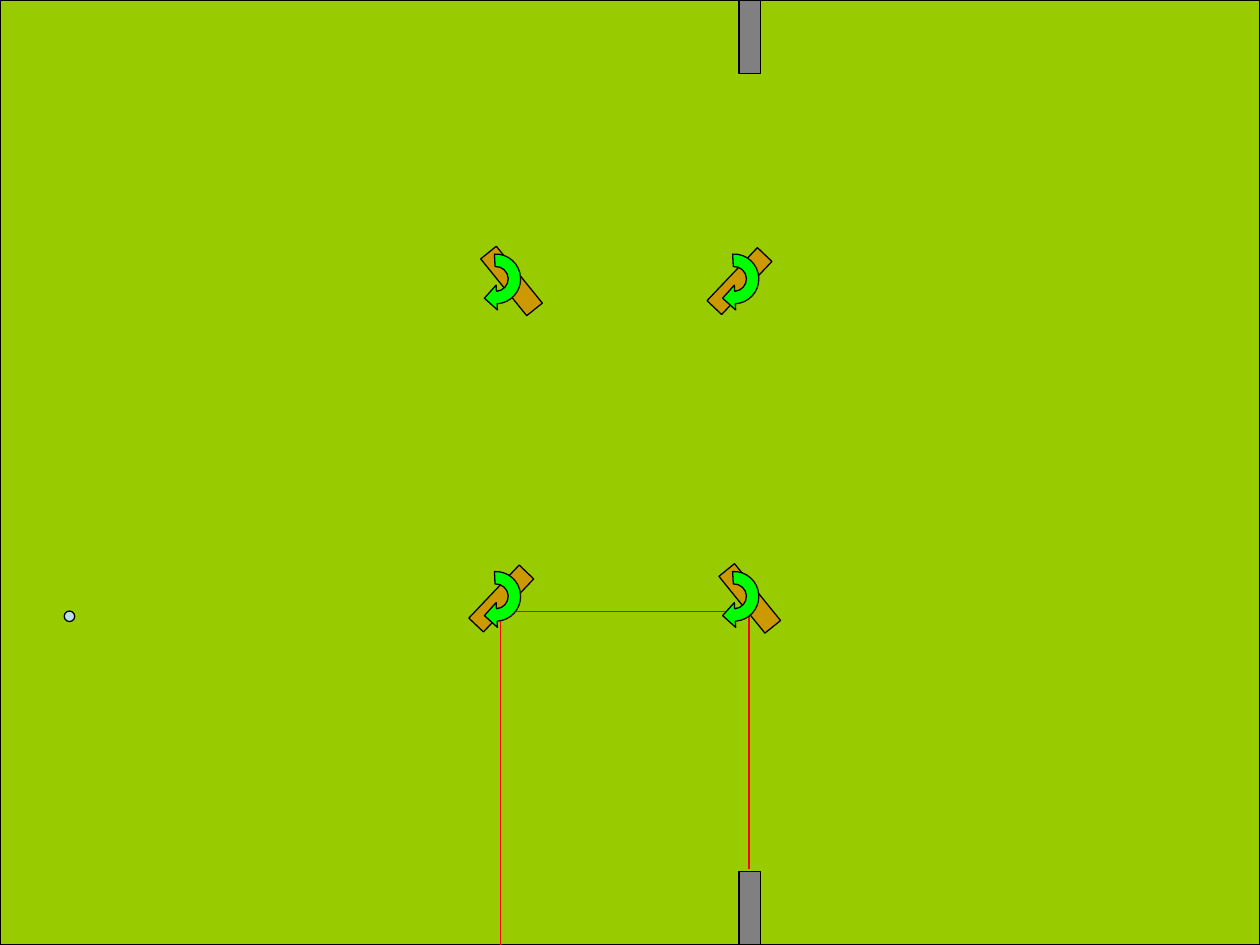
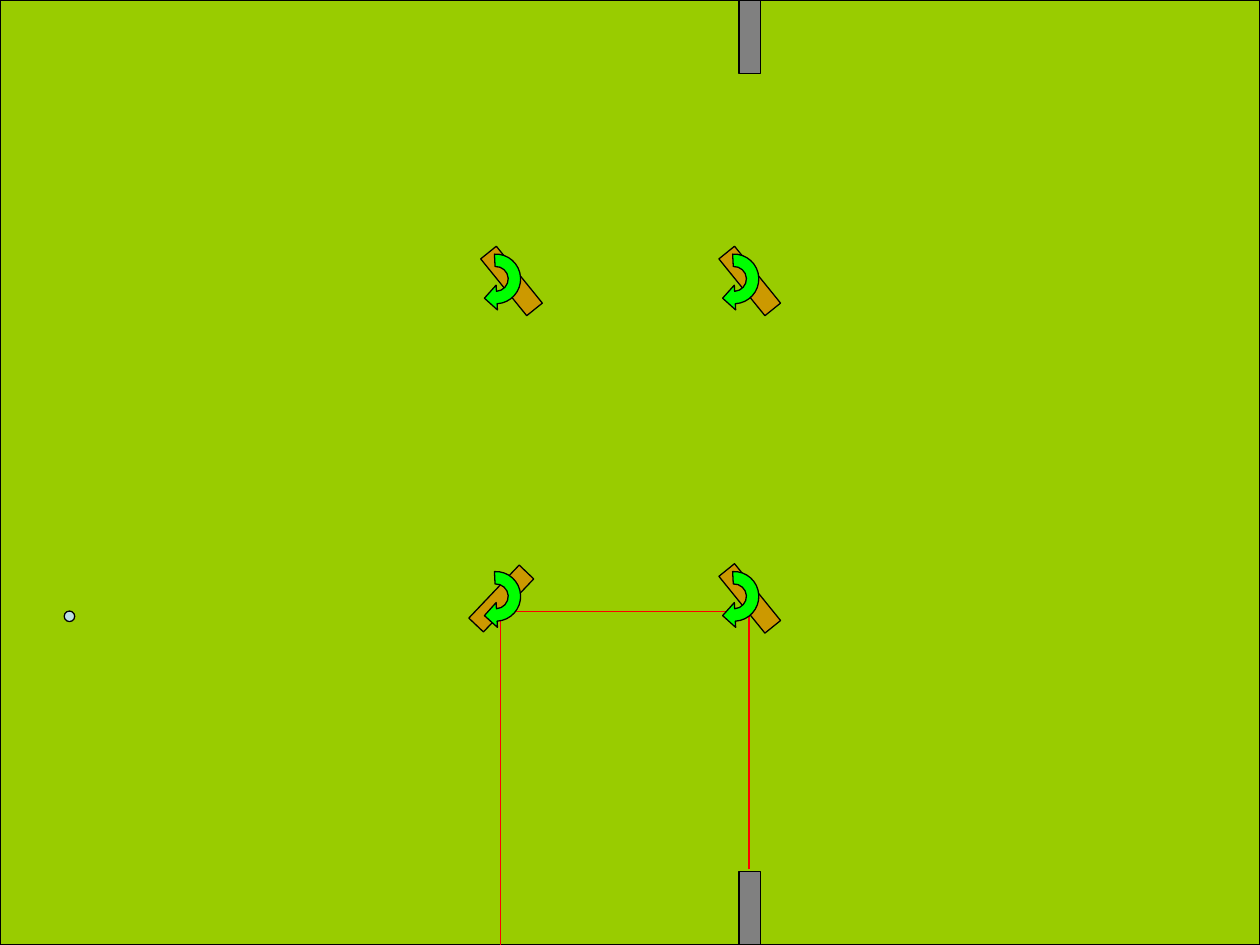
from lxml import etree
from pptx import Presentation
from pptx.dml.color import RGBColor as RGB
from pptx.enum.shapes import MSO_CONNECTOR as LINK, MSO_SHAPE as SHAPE
from pptx.oxml.ns import qn
from pptx.util import Pt

WIDE, HIGH = 720, 540
COLORS = {
    "grass": "99CC00",
    "post": "808080",
    "track": "FF0000",
    "ball": "BBE0E3",
    "gate": "CC9900",
    "turn": "00FF00",
    "edge": "000000",
}

POST_X, POST_W, POST_H = 422.4, 12.2, 42
TRACK = [(428, 496.8), (428, 349.4), (286.2, 349.4), (286.2, HIGH)]

GATE_X = (283.3, 419.4)
GATE_Y = (159.4, 340.8)
GATE_W, GATE_H = 41.8, 11.5
FALL, RISE = 51, 313.5  # gate tilts in degrees
SHIFT = {FALL: (9, 1.2), RISE: (3.2, 1.2)}  # bar centre from the pivot

# Turn arrow on a square grid of GRID units; curves list two controls and an end
TURN_W, TURN_TILT, GRID = 28.4, 86.9, 800
TURN = [
    ("moveTo", [(600, 400)]),
    ("cubicBezTo", [(600, 290), (510, 200), (400, 200)]),
    ("cubicBezTo", [(290, 200), (200, 290), (200, 400)]),
    ("lnTo", [(0, 400)]),
    ("cubicBezTo", [(0, 179), (179, 0), (400, 0)]),
    ("cubicBezTo", [(621, 0), (800, 179), (800, 400)]),
    ("lnTo", [(900, 400)]),
    ("lnTo", [(700, 600)]),
    ("lnTo", [(500, 400)]),
    ("close", []),
]

# Tilts of each slide's gates, row by row
SLIDES = [
    [(FALL, RISE), (RISE, FALL)],
    [(FALL, FALL), (RISE, FALL)],
]


def paint(shape, color):
    shape.shadow.inherit = False
    shape.fill.solid()
    shape.fill.fore_color.rgb = RGB.from_string(COLORS[color])
    shape.line.color.rgb = RGB.from_string(COLORS["edge"])
    shape.line.width = Pt(0.75)


def add_form(shapes, kind, left, top, width, height, color):
    shape = shapes.add_shape(kind, Pt(left), Pt(top), Pt(width), Pt(height))
    paint(shape, color)
    return shape


def add_track(shapes, points):
    """Join the points with straight lines."""
    for start, end in zip(points, points[1:]):
        line = shapes.add_connector(LINK.STRAIGHT, *map(Pt, start + end))
        line.line.color.rgb = RGB.from_string(COLORS["track"])
        line.line.width = Pt(0.75)
        etree.SubElement(line._element.spPr, qn("a:effectLst"))


def trace(shape, steps):
    """Replace a freeform's outline with steps that may be curves."""
    outline = shape._element.find(".//" + qn("a:path"))
    for old in list(outline):
        outline.remove(old)
    for name, points in steps:
        step = etree.SubElement(outline, qn("a:" + name))
        for x, y in points:
            etree.SubElement(step, qn("a:pt"), x=str(x), y=str(y))


def add_turn(shapes, x, y):
    """Draw a clockwise half-turn arrow around the pivot."""
    pen = shapes.build_freeform(0, 0, scale=Pt(TURN_W) / GRID)
    pen.add_line_segments([(GRID, 0), (GRID, GRID), (0, GRID)])
    turn = pen.convert_to_shape(Pt(x - TURN_W / 2), Pt(y - TURN_W / 2))
    trace(turn, TURN)
    turn.rotation = TURN_TILT
    paint(turn, "turn")


def add_gate(shapes, x, y, tilt):
    group = shapes.add_group_shape().shapes
    dx, dy = SHIFT[tilt]
    bar = add_form(group, SHAPE.RECTANGLE, x + dx - GATE_W / 2,
                   y + dy - GATE_H / 2, GATE_W, GATE_H, "gate")
    bar.rotation = tilt
    add_turn(group, x, y)


def add_field(shapes):
    add_form(shapes, SHAPE.RECTANGLE, 0, 0, WIDE, HIGH, "grass")
    for top in (HIGH - POST_H, 0):
        add_form(shapes, SHAPE.RECTANGLE, POST_X, top, POST_W, POST_H, "post")
    add_track(shapes, TRACK)
    add_form(shapes, SHAPE.OVAL, 36.7, 349.2, 6, 6, "ball")


def main():
    deck = Presentation()
    deck.slide_width, deck.slide_height = Pt(WIDE), Pt(HIGH)
    blank = deck.slide_layouts[6]
    for tilts in SLIDES:
        shapes = deck.slides.add_slide(blank).shapes
        add_field(shapes)
        for y, row in zip(GATE_Y, tilts):
            for x, tilt in zip(GATE_X, row):
                add_gate(shapes, x, y, tilt)
    deck.save("out.pptx")


if __name__ == "__main__":
    main()
